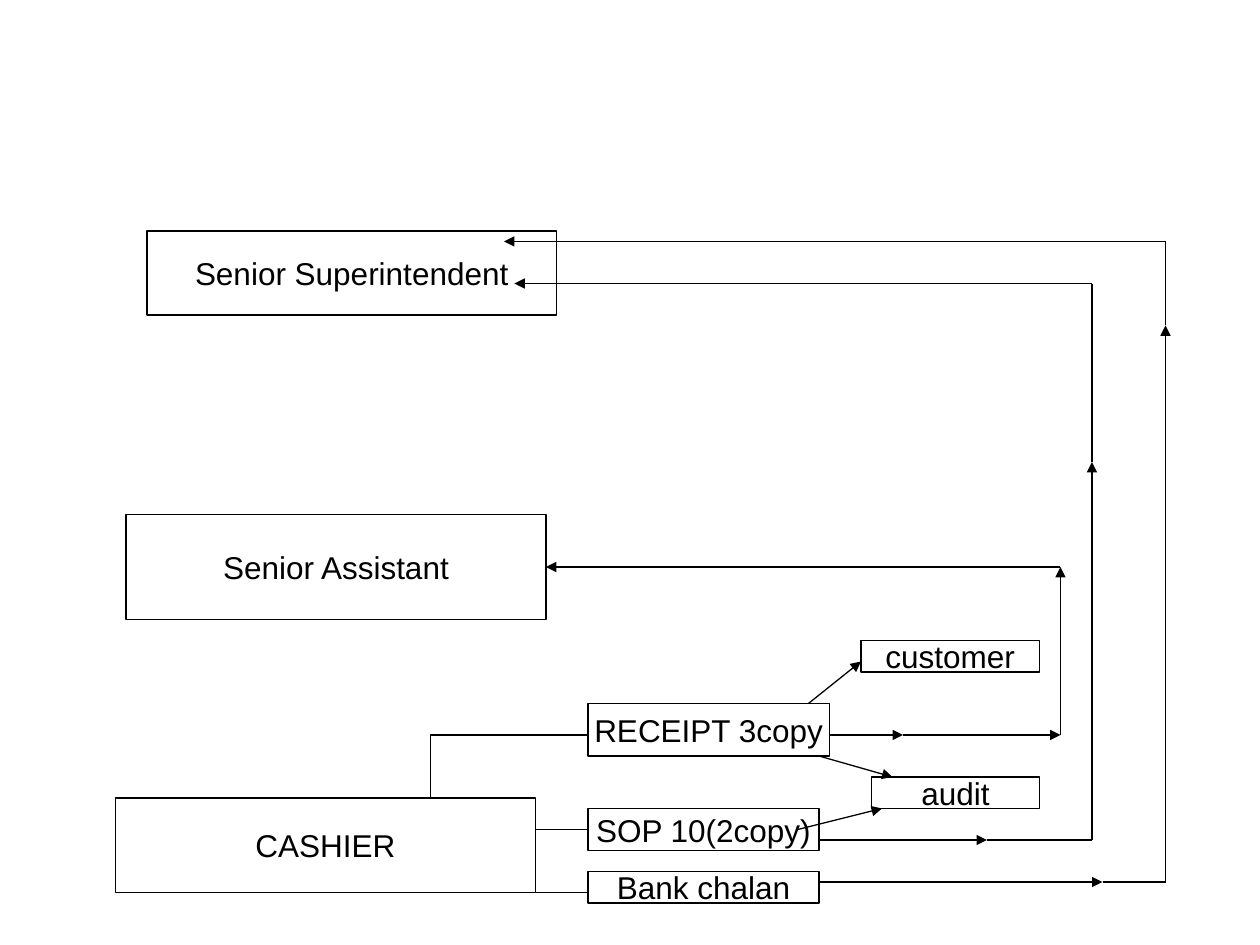
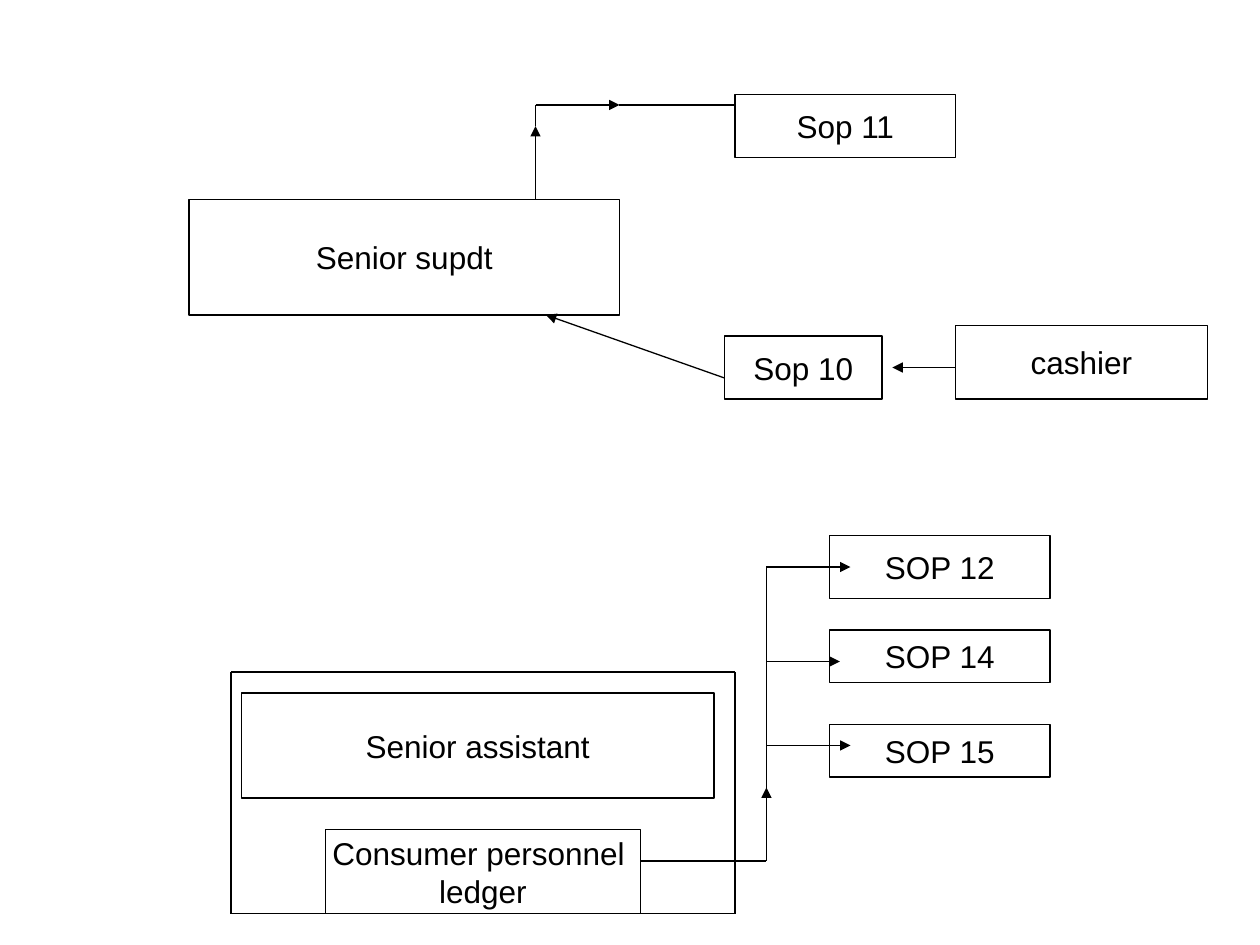
"""Build two office flow diagrams of labelled boxes joined by arrow routes."""
from itertools import pairwise

from lxml import etree
from pptx import Presentation
from pptx.dml.color import RGBColor
from pptx.enum.shapes import MSO_CONNECTOR, MSO_SHAPE
from pptx.enum.text import MSO_ANCHOR, PP_ALIGN
from pptx.oxml.ns import qn
from pptx.util import Pt

STRAIGHT = MSO_CONNECTOR.STRAIGHT
RECTANGLE = MSO_SHAPE.RECTANGLE
MIDDLE = MSO_ANCHOR.MIDDLE
CENTER = PP_ALIGN.CENTER

PX = 9525
SLIDE_SIZE = (960, 720)
THEME = {
    "font": "Arial",
    "size": Pt(18),
    "ink": RGBColor(0, 0, 0),
    "paper": RGBColor(255, 255, 255),
    "line": Pt(0.75),
}
ARROW = "triangle"

RECEIPT_FLOW = {
    "boxes": [
        ("CASHIER", 88, 608, 320, 72),
        ("RECEIPT 3copy", 448, 536, 184, 40),
        ("customer", 656, 488, 136, 24),
        ("audit", 664, 592, 128, 24),
        ("SOP 10(2copy)", 448, 616, 176, 32),
        ("Bank chalan", 448, 664, 176, 24),
        ("Senior Assistant", 96, 392, 320, 80),
        ("Senior Superintendent", 112, 176, 312, 64),
    ],
    "routes": [
        [(328, 608), (328, 560), (448, 560)],
        [(408, 632), (448, 632)],
        [(408, 680), (448, 680)],
        [(632, 560), (688, 560, ARROW), (808, 560, ARROW),
         (808, 432, ARROW), (416, 432, ARROW)],
        [(624, 640), (752, 640, ARROW), (832, 640),
         (832, 352, ARROW), (832, 216), (392, 216, ARROW)],
        [(624, 672), (840, 672, ARROW), (888, 672),
         (888, 248, ARROW), (888, 184), (384, 184, ARROW)],
        [(608, 632), (672, 616, ARROW)],
        [(624, 576), (680, 592, ARROW)],
        [(616, 536), (656, 504, ARROW)],
    ],
}
LEDGER_FLOW = {
    "boxes": [
        ("Senior assistant", 184, 528, 360, 80),
        ("SOP 12", 632, 408, 168, 48),
        ("SOP 14", 632, 480, 168, 40),
        ("SOP 15", 632, 552, 168, 40),
        ("Consumer personnel \nledger", 248, 632, 240, 64),
        ("Senior supdt", 144, 152, 328, 88),
        ("Sop 11", 560, 72, 168, 48),
        ("cashier", 728, 248, 192, 56),
        ("Sop 10", 552, 256, 120, 48),
    ],
    "routes": [
        [(488, 656), (584, 656), (584, 600, ARROW),
         (584, 432), (648, 432, ARROW)],
        [(584, 504), (640, 504, ARROW)],
        [(584, 568), (648, 568, ARROW)],
        [(176, 512), (560, 512), (560, 696), (176, 696), (176, 512)],
        [(408, 152), (408, 96, ARROW), (408, 80),
         (472, 80, ARROW), (560, 80)],
        [(728, 280), (680, 280, ARROW)],
        [(552, 288), (416, 240, ARROW)],
    ],
}


def write_text(shape, text, size=THEME["size"], color=THEME["ink"], align=CENTER):
    """Put formatted text, one paragraph a line, in a shape."""
    frame = shape.text_frame
    frame.text = text
    frame.word_wrap = False
    frame.vertical_anchor = MIDDLE
    for paragraph in frame.paragraphs:
        paragraph.alignment = align
        font = paragraph.runs[0].font
        font.name, font.size = THEME["font"], size
        font.color.rgb = color


def draw_line_style(line):
    """Give an outline or connector the shared stroke."""
    line.color.rgb = THEME["ink"]
    line.width = THEME["line"]


def add_box(slide, text, *bounds):
    """Add a labelled box."""
    shape = slide.shapes.add_shape(RECTANGLE, *(value * PX for value in bounds))
    shape.shadow.inherit = False
    shape.fill.solid()
    shape.fill.fore_color.rgb = THEME["paper"]
    draw_line_style(shape.line)
    write_text(shape, text)
    return shape


def side_middles(shape, left, top, width, height):
    """Map the middle of each side to its shape and connection site."""
    center, middle = left + width // 2, top + height // 2
    points = [(center, top), (left, middle),
              (center, top + height), (left + width, middle)]
    return {point: (shape, site) for site, point in enumerate(points)}


def add_segment(slide, start, end, sites):
    """Add one line, joined to a box wherever it meets a side's middle."""
    begin, finish = start[:2], end[:2]
    connector = slide.shapes.add_connector(
        STRAIGHT, *(value * PX for value in begin + finish))
    if begin in sites:
        connector.begin_connect(*sites[begin])
    if finish in sites:
        connector.end_connect(*sites[finish])
    draw_line_style(connector.line)
    properties = connector._element.spPr
    if ARROW in end:
        etree.SubElement(properties.find(qn("a:ln")), qn("a:tailEnd"), type=ARROW)
    etree.SubElement(properties, qn("a:effectLst"))


def add_flow(presentation, flow):
    """Add a slide with the boxes and routes of one flow."""
    slide = presentation.slides.add_slide(presentation.slide_layouts[6])
    sites = {}
    for text, *bounds in flow["boxes"]:
        sites.update(side_middles(add_box(slide, text, *bounds), *bounds))
    for route in flow["routes"]:
        for start, end in pairwise(route):
            add_segment(slide, start, end, sites)


def main():
    """Build and save the presentation."""
    presentation = Presentation()
    presentation.slide_width, presentation.slide_height = (
        value * PX for value in SLIDE_SIZE)
    for flow in (RECEIPT_FLOW, LEDGER_FLOW):
        add_flow(presentation, flow)
    presentation.save("out.pptx")


if __name__ == "__main__":
    main()
